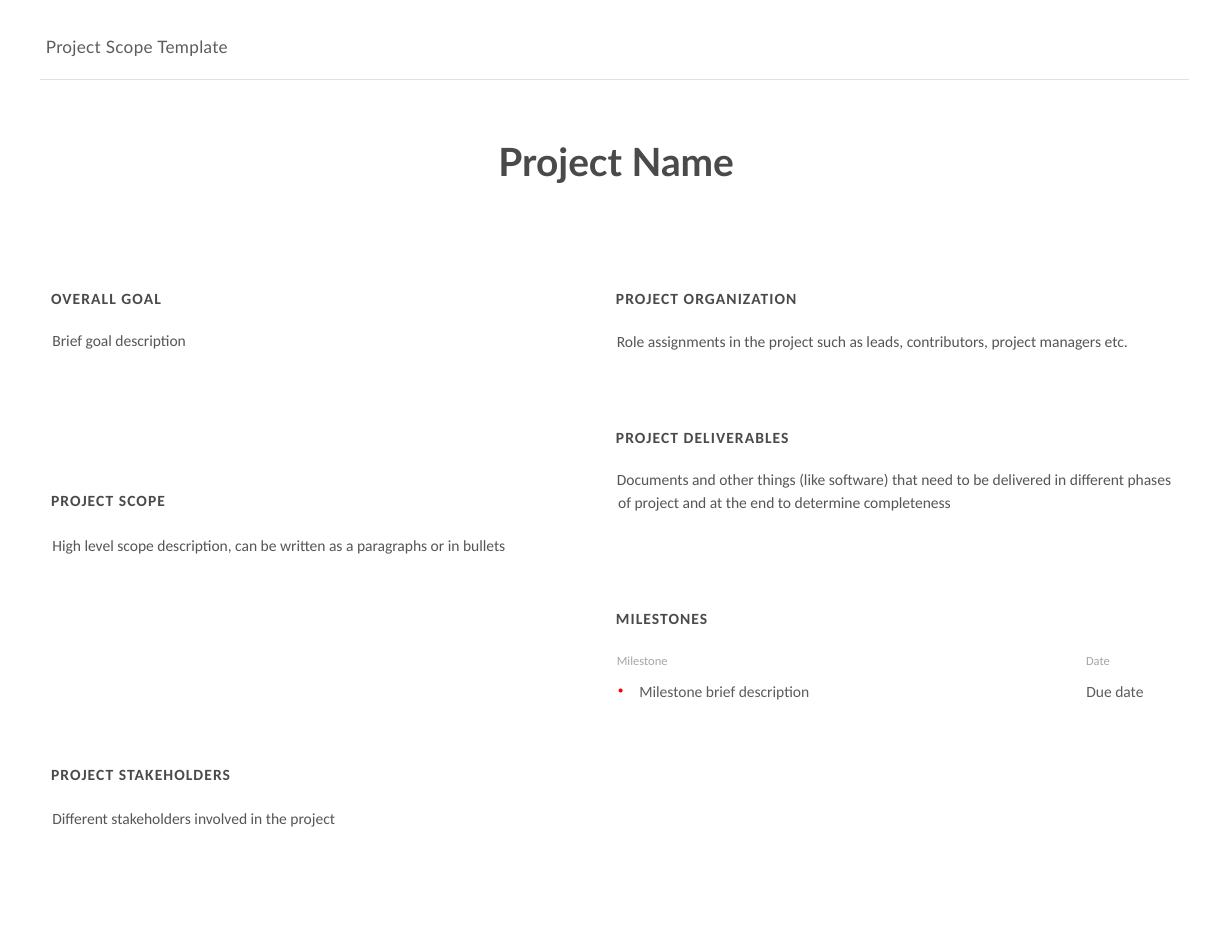
import pptx
import pptx.dml.color
import pptx.enum.shapes
import pptx.enum.text
import pptx.oxml.ns
import pptx.util
from lxml import etree

Cm, Pt = pptx.util.Cm, pptx.util.Pt
Align = pptx.enum.text.PP_ALIGN
Anchor = pptx.enum.text.MSO_ANCHOR

# Column: heading left, body left, body width; sections: heading, top, body, body top (cm)
COLUMNS = [
    (0.91, 0.94, 12.19, [
        ("OVERALL GOAL", 6.35, "Brief goal description", 7.29),
        ("PROJECT SCOPE", 10.92,
         "High level scope description, can be written as a paragraphs or in bullets", 11.94),
        ("PROJECT STAKEHOLDERS", 17.15,
         "Different stakeholders involved in the project", 18.14),
    ]),
    (13.72, 13.74, 13.31, [
        ("PROJECT ORGANIZATION", 6.35,
         "Role assignments in the project such as leads, contributors, "
         "project managers etc.", 7.32),
        ("PROJECT DELIVERABLES", 9.5,
         "Documents and other things (like software) that need to be delivered "
         "in different phases of project and at the end to determine completeness", 10.46),
        ("MILESTONES", 13.61, None, None),
    ]),
]
MILESTONE_LABELS = [("Milestone", 13.74, 7.44), ("Date", 24.38, 3.12)]
MILESTONES = [("Milestone brief description", "Due date")] + [("", "")] * 5
COLUMN_WIDTHS = [10.62, 2.49]
ROW_HEIGHTS = [0.66, 0.66, 0.69, 0.66, 0.66, 0.91]

HEADER = dict(size=11, color="5C5C5C", font="Lato", spacing=0.2)
TITLE = dict(size=25, color="4A4A4A", font="Lato", bold=True)
HEADING = dict(size=10, color="4A4A4A", bold=True, spacing=0.7)
BODY = dict(size=10, color="565656")
LABEL = dict(size=8, color="A6A6A6")
CELL = dict(size=10, color="5C5C5C")


def rgb(value):
    """Return a colour from a hex string."""
    return pptx.dml.color.RGBColor.from_string(value)


def add_child(parent, tag, **attributes):
    """Append a DrawingML element and return it."""
    return etree.SubElement(parent, pptx.oxml.ns.qn(tag), attributes)


def add_span(para, text, size, color, font="Calibri", bold=False, spacing=0):
    """Add one formatted run to a paragraph."""
    span = para.add_run()
    span.text = text
    span.font.size = Pt(size)
    span.font.name = font
    span.font.bold = bold
    span.font.color.rgb = rgb(color)
    if spacing:
        span.font._element.set("spc", str(round(spacing * 100)))


def add_text(page, text, left, top, width, height, style, line_spacing=1.2, wrap=True):
    """Add a text box with one paragraph, and return the box."""
    box = page.shapes.add_textbox(Cm(left), Cm(top), Cm(width), Cm(height))
    box.text_frame.word_wrap = wrap
    para = box.text_frame.paragraphs[0]
    para.line_spacing = line_spacing
    add_span(para, text, **style)
    return box


def set_indent(para, indent):
    """Give a paragraph a hanging indent, and return its properties."""
    properties = para._p.get_or_add_pPr()
    properties.set("marL", str(Cm(indent)))
    properties.set("indent", str(-Cm(indent)))
    return properties


def add_header(page):
    """Add the header text, its rule and the project title."""
    add_text(page, "Project Scope Template", 0.79, 0.69, 4.7, 0.74, HEADER, 1.0, wrap=False)
    rule = page.shapes.add_connector(
        pptx.enum.shapes.MSO_CONNECTOR.STRAIGHT, Cm(0.91), Cm(1.8), Cm(26.97), Cm(1.8))
    rule.line.color.rgb = rgb("E0E0E0")
    rule.line.width = Pt(0.75)
    add_child(rule._element.spPr, "a:effectLst")
    title = add_text(page, "Project Name", 1.4, 2.29, 25.15, 2.72, TITLE, 1.0)
    title.text_frame.vertical_anchor = Anchor.MIDDLE
    title.text_frame.paragraphs[0].alignment = Align.CENTER


def add_sections(page):
    """Add the headings with their descriptions."""
    for heading_left, body_left, body_width, sections in COLUMNS:
        for heading, heading_top, body, body_top in sections:
            add_text(page, heading, heading_left, heading_top, 5.18, 0.76, HEADING)
            if body:
                box = add_text(page, body, body_left, body_top, body_width, 0.76, BODY)
                set_indent(box.text_frame.paragraphs[0], 0.03)


def format_cell(cell, text, bulleted):
    """Fill one milestone cell and give it white borders."""
    cell.margin_left = cell.margin_right = cell.margin_top = cell.margin_bottom = Cm(0.1)
    para = cell.text_frame.paragraphs[0]
    if text:
        add_span(para, text, **CELL)
        if bulleted:
            properties = set_indent(para, 0.48)
            add_child(add_child(properties, "a:buClr"), "a:srgbClr", val="FB0000")
            add_child(properties, "a:buChar", char="•")
    else:
        add_child(para._p, "a:endParaRPr", sz="1000")
    cell_properties = cell._tc.get_or_add_tcPr()
    for side in ("a:lnL", "a:lnR", "a:lnT", "a:lnB"):
        border = add_child(cell_properties, side, w=str(Pt(1)))
        add_child(add_child(border, "a:solidFill"), "a:srgbClr", val="FFFFFF")
    cell.fill.background()


def add_milestones(page):
    """Add the milestone labels and table."""
    for label, left, width in MILESTONE_LABELS:
        add_text(page, label, left, 14.63, width, 0.66, LABEL)
    table = page.shapes.add_table(
        len(MILESTONES), len(COLUMN_WIDTHS), Cm(13.92), Cm(15.39),
        Cm(sum(COLUMN_WIDTHS)), Cm(sum(ROW_HEIGHTS))).table
    table.first_row = table.horz_banding = False
    for column, width in zip(table.columns, COLUMN_WIDTHS):
        column.width = Cm(width)
    for row, height, texts in zip(table.rows, ROW_HEIGHTS, MILESTONES):
        row.height = Cm(height)
        for index, (cell, text) in enumerate(zip(row.cells, texts)):
            format_cell(cell, text, bulleted=index == 0)


deck = pptx.Presentation()
deck.slide_width, deck.slide_height = Cm(27.94), Cm(21.59)
page = deck.slides.add_slide(deck.slide_layouts[6])
add_header(page)
add_sections(page)
add_milestones(page)
deck.save("out.pptx")
